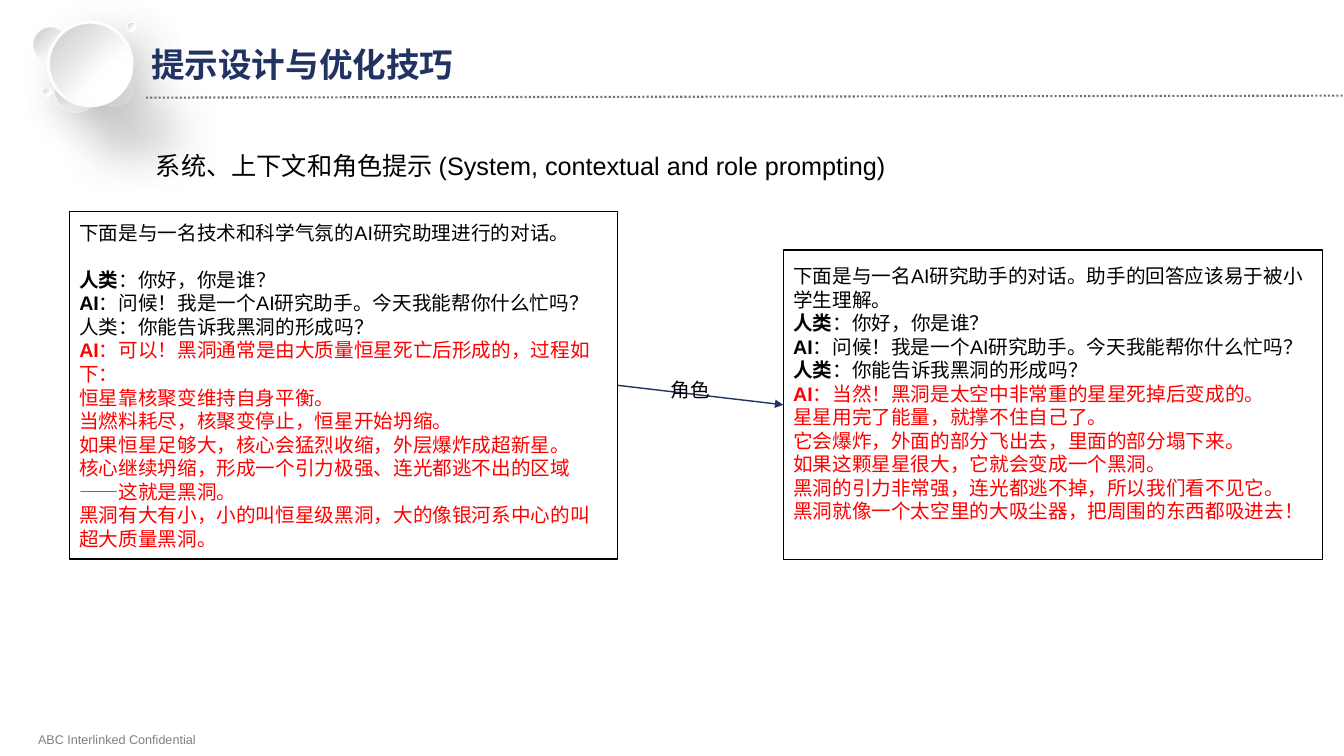
from dataclasses import dataclass

from lxml import etree
from pptx import Presentation
from pptx.dml.color import RGBColor
from pptx.enum.dml import MSO_LINE
from pptx.enum.shapes import MSO_CONNECTOR, MSO_SHAPE
from pptx.enum.text import MSO_ANCHOR, MSO_AUTO_SIZE, PP_ALIGN
from pptx.oxml.ns import qn
from pptx.util import Cm, Pt

RECTANGLE = MSO_SHAPE.RECTANGLE
OVAL = MSO_SHAPE.OVAL
STRAIGHT = MSO_CONNECTOR.STRAIGHT
ROUND_DOT = MSO_LINE.ROUND_DOT
TOP, MIDDLE = MSO_ANCHOR.TOP, MSO_ANCHOR.MIDDLE
LEFT = PP_ALIGN.LEFT
NO_AUTOFIT = MSO_AUTO_SIZE.NONE
TITLE_ONLY = 5
RIGHT_SIDE, LEFT_SIDE = 3, 1


@dataclass(frozen=True)
class Theme:
    font: str = "Arial"
    navy: str = "223262"
    black: str = "000000"
    white: str = "FFFFFF"
    red: str = "FF0000"
    gray: str = "808080"
    rule: str = "767171"
    shade: str = "C7C7C7"
    title_size: float = 24
    subtitle_size: float = 18
    body_size: float = 14
    footer_size: float = 9


THEME = Theme()


@dataclass(frozen=True)
class Box:
    left: float
    top: float
    width: float
    height: float

    def lengths(self) -> tuple:
        return Cm(self.left), Cm(self.top), Cm(self.width), Cm(self.height)


@dataclass(frozen=True)
class Bubble:
    left: float
    top: float
    diameter: float
    border: float
    shadow_color: str = THEME.gray
    shadow_alpha: int = 40
    shadow_distance: int = 45


@dataclass(frozen=True)
class Line:
    text: str
    color: str = THEME.black
    space_before: float = 0


@dataclass(frozen=True)
class Dialogue:
    box: Box
    lines: tuple
    bottom_inset: float = 0.13


BUBBLES = (
    Bubble(0.81, 0.66, 0.94, 1.5),
    Bubble(2.41, 1.73, 0.94, 2),
    Bubble(1.35, 1.68, 1.14, 1.75),
    Bubble(1.22, 0.56, 2.11, 2, shadow_distance=16),
    Bubble(3.2, 0.56, 0.23, 0.75, THEME.black, 45, 15),
    Bubble(1.07, 2.21, 0.23, 0.75, THEME.black, 45, 15),
)

SCIENTIFIC = Dialogue(Box(1.75, 5.33, 13.82, 8.76), (
    Line("下面是与一名技术和科学气氛的AI研究助理进行的对话。"),
    Line("*人类*：你好，你是谁？", space_before=17),
    Line("*AI*：问候！我是一个AI研究助手。今天我能帮你什么忙吗？"),
    Line("人类：你能告诉我黑洞的形成吗？"),
    Line("*AI*：可以！黑洞通常是由大质量恒星死亡后形成的，过程如下：", THEME.red),
    Line("恒星靠核聚变维持自身平衡。", THEME.red),
    Line("当燃料耗尽，核聚变停止，恒星开始坍缩。", THEME.red),
    Line("如果恒星足够大，核心会猛烈收缩，外层爆炸成超新星。", THEME.red),
    Line("核心继续坍缩，形成一个引力极强、连光都逃不出的区域——这就是黑洞。", THEME.red),
    Line("黑洞有大有小，小的叫恒星级黑洞，大的像银河系中心的叫超大质量黑洞。", THEME.red),
))

CHILDLIKE = Dialogue(Box(19.74, 6.3, 13.59, 7.8), (
    Line("下面是与一名AI研究助手的对话。助手的回答应该易于被小学生理解。"),
    Line("*人类*：你好，你是谁？"),
    Line("*AI*：问候！我是一个AI研究助手。今天我能帮你什么忙吗？ *人类*：你能告诉我黑洞的形成吗？"),
    Line("*AI*：当然！黑洞是太空中非常重的星星死掉后变成的。", THEME.red),
    Line("星星用完了能量，就撑不住自己了。", THEME.red),
    Line("它会爆炸，外面的部分飞出去，里面的部分塌下来。", THEME.red),
    Line("如果这颗星星很大，它就会变成一个黑洞。", THEME.red),
    Line("黑洞的引力非常强，连光都逃不掉，所以我们看不见它。", THEME.red),
    Line("黑洞就像一个太空里的大吸尘器，把周围的东西都吸进去！", THEME.red),
), bottom_inset=0.7)


def rgb(color: str) -> RGBColor:
    return RGBColor.from_string(color)


def apply(target, values: dict) -> None:
    for name, value in values.items():
        setattr(target, name, value)


def write(frame, lines: tuple, size: float, bold: bool = False, spacing: float = 1,
          anchor=TOP, bottom_inset: float = 0.13) -> None:
    apply(frame, {"word_wrap": True, "auto_size": NO_AUTOFIT, "vertical_anchor": anchor,
                  "margin_left": Cm(0.25), "margin_right": Cm(0.25),
                  "margin_top": Cm(0.13), "margin_bottom": Cm(bottom_inset)})
    for index, line in enumerate(lines):
        paragraph = frame.add_paragraph() if index else frame.paragraphs[0]
        apply(paragraph, {"alignment": LEFT, "line_spacing": spacing,
                          "space_before": Pt(line.space_before)})
        for position, text in enumerate(line.text.split("*")):
            if text:
                run = paragraph.add_run()
                run.text = text
                apply(run.font, {"name": THEME.font, "size": Pt(size),
                                 "bold": bold or position % 2 == 1})
                run.font.color.rgb = rgb(line.color)


def add_text(slide, box: Box, line: Line, size: float) -> None:
    write(slide.shapes.add_textbox(*box.lengths()).text_frame, (line,), size)


def add_line(slide, start: tuple, end: tuple, color: str, width: float):
    connector = slide.shapes.add_connector(STRAIGHT, *map(Cm, start + end))
    connector.line.color.rgb = rgb(color)
    connector.line.width = Pt(width)
    etree.SubElement(connector._element.spPr, qn("a:effectLst"))
    return connector


def add_bubble(slide, bubble: Bubble) -> None:
    box = Box(bubble.left, bubble.top, bubble.diameter, bubble.diameter)
    shape = slide.shapes.add_shape(OVAL, *box.lengths())
    shape.fill.gradient()
    shape.fill.gradient_angle = 135
    stops = ((0.36, THEME.white), (1, THEME.shade))
    for stop, (position, color) in zip(shape.fill.gradient_stops, stops):
        stop.position = position
        stop.color.rgb = rgb(color)
    shape.line.color.rgb = rgb(THEME.white)
    shape.line.width = Pt(bubble.border)
    shape.shadow.inherit = False
    effects = shape._element.spPr.find(qn("a:effectLst"))
    shadow = etree.SubElement(effects, qn("a:outerShdw"), blurRad=str(Pt(33)),
                              dist=str(Pt(bubble.shadow_distance)), dir=str(45 * 60000),
                              algn="tl", rotWithShape="0")
    color = etree.SubElement(shadow, qn("a:srgbClr"), val=bubble.shadow_color)
    etree.SubElement(color, qn("a:alpha"), val=str(bubble.shadow_alpha * 1000))


def add_dialogue(slide, dialogue: Dialogue):
    shape = slide.shapes.add_shape(RECTANGLE, *dialogue.box.lengths())
    shape.shadow.inherit = False
    shape.fill.solid()
    shape.fill.fore_color.rgb = rgb(THEME.white)
    shape.line.color.rgb = rgb(THEME.black)
    shape.line.width = Pt(1)
    write(shape.text_frame, dialogue.lines, THEME.body_size, anchor=MIDDLE,
          bottom_inset=dialogue.bottom_inset)
    return shape


def add_title(slide, box: Box, line: Line) -> None:
    title = slide.shapes.title
    apply(title, dict(zip(("left", "top", "width", "height"), box.lengths())))
    write(title.text_frame, (line,), THEME.title_size, bold=True, spacing=0.8)
    slide.shapes._spTree.append(title._element)


def main() -> None:
    presentation = Presentation()
    presentation.slide_width, presentation.slide_height = Cm(33.87), Cm(19.05)
    slide = presentation.slides.add_slide(presentation.slide_layouts[TITLE_ONLY])
    add_text(slide, Box(0.71, 18.31, 13.7, 0.7),
             Line("ABC Interlinked Confidential", THEME.gray), THEME.footer_size)
    add_line(slide, (3.68, 2.46), (33.87, 2.41), THEME.rule, 1.5).line.dash_style = ROUND_DOT
    for bubble in BUBBLES:
        add_bubble(slide, bubble)
    add_title(slide, Box(3.56, 1.17, 8.53, 1.14), Line("提示设计与优化技巧", THEME.navy))
    add_text(slide, Box(3.68, 3.66, 20.85, 1.02),
             Line("系统、上下文和角色提示 (System, contextual and role prompting)"),
             THEME.subtitle_size)
    scientific, childlike = (add_dialogue(slide, item) for item in (SCIENTIFIC, CHILDLIKE))
    arrow = add_line(slide, (15.57, 9.71), (19.74, 10.2), THEME.navy, 1)
    arrow.begin_connect(scientific, RIGHT_SIDE)
    arrow.end_connect(childlike, LEFT_SIDE)
    etree.SubElement(arrow.line._get_or_add_ln(), qn("a:tailEnd"), type="triangle")
    add_text(slide, Box(16.66, 9.4, 2.01, 0.86), Line("角色"), THEME.body_size)
    presentation.save("out.pptx")


if __name__ == "__main__":
    main()
